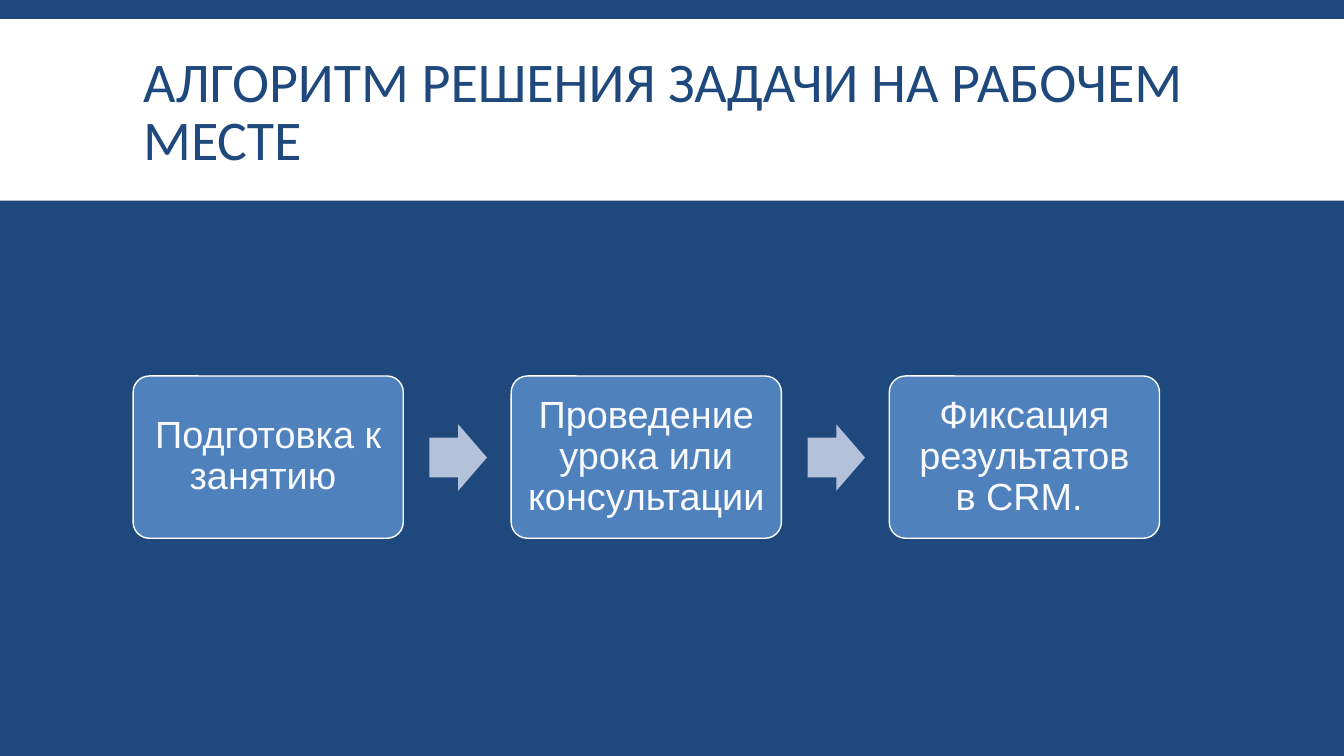
import pptx
import pptx.util
import pptx.dml.color
import pptx.enum.shapes
import pptx.enum.text
from dataclasses import dataclass

Inches = pptx.util.Inches
Pt = pptx.util.Pt
Shape = pptx.enum.shapes.MSO_SHAPE
Align = pptx.enum.text.PP_ALIGN
Anchor = pptx.enum.text.MSO_ANCHOR
Color = pptx.dml.color.RGBColor.from_string


@dataclass(frozen=True)
class Theme:
    navy: Color = Color("1F497D")
    white: Color = Color("FFFFFF")
    blue: Color = Color("4F81BD")
    pale: Color = Color("B3C1DB")
    light: Color = Color("F8FAFF")
    head: Pt = Pt(40)
    body: Pt = Pt(27)


theme = Theme()


def draw(kind, left, top, width, height, fill):
    shape = slide.shapes.add_shape(kind, Inches(left), Inches(top), Inches(width), Inches(height))
    shape.shadow.inherit = False
    shape.fill.solid()
    shape.fill.fore_color.rgb = fill
    shape.line.fill.background()
    return shape


def write(frame, text, font, size, color, align, space):
    frame.word_wrap = True
    frame.auto_size = pptx.enum.text.MSO_AUTO_SIZE.NONE
    frame.vertical_anchor = Anchor.MIDDLE
    para = frame.paragraphs[0]
    para.alignment = align
    para.line_spacing = space
    run = para.add_run()
    run.text = text
    run.font.name = font
    run.font.size = size
    run.font.color.rgb = color


deck = pptx.Presentation()
deck.slide_width = Inches(13.33)
deck.slide_height = Inches(7.5)
slide = deck.slides.add_slide(deck.slide_layouts[5])
slide.background.fill.solid()
slide.background.fill.fore_color.rgb = theme.navy

band = draw(Shape.RECTANGLE, 0, 0.19, 13.33, 1.8, theme.white)
title = slide.shapes.title
title.left, title.top = Inches(1.32), Inches(0.31)
title.width, title.height = Inches(10.7), Inches(1.65)
band._element.addnext(title._element)
write(title.text_frame, "АЛГОРИТМ РЕШЕНИЯ ЗАДАЧИ НА РАБОЧЕМ МЕСТЕ",
      "Calibri", theme.head, theme.navy, Align.LEFT, 0.85)

steps = [
    "Подготовка к занятию ",
    "Проведение урока или консультации",
    "Фиксация результатов в CRM. ",
]
start, pitch = 1.32, 3.75

for index, text in enumerate(steps):
    left = start + index * pitch
    if index:
        arrow = draw(Shape.RIGHT_ARROW, left - 0.81, 4.21, 0.57, 0.66, theme.pale)
        arrow.adjustments[0] = 0.6
        arrow.adjustments[1] = 0.5
    card = draw(Shape.ROUNDED_RECTANGLE, left, 3.73, 2.68, 1.61, theme.blue)
    card.adjustments[0] = 0.1
    card.line.color.rgb = theme.white
    card.line.width = Pt(1)
    frame = card.text_frame
    frame.margin_left = frame.margin_right = Inches(0.11)
    frame.margin_top = frame.margin_bottom = Inches(0.11)
    write(frame, text, "Arial", theme.body, theme.light, Align.CENTER, 0.9)

deck.save("out.pptx")
